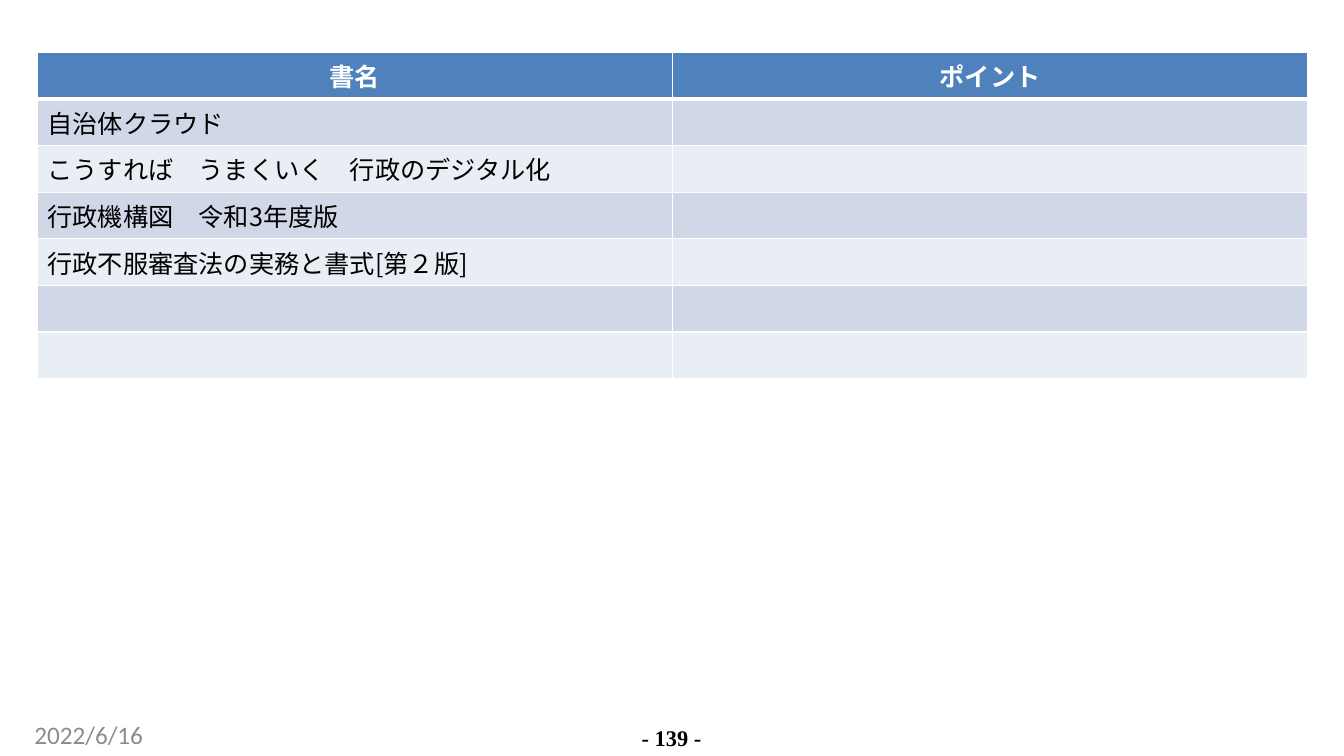
from lxml import etree
from pptx import Presentation
from pptx import util as u
from pptx.dml.color import RGBColor
from pptx.enum import text
from pptx.oxml import ns

WIDTH, HEIGHT = 13.33, 7.5
BOOKS = [
    "自治体クラウド",
    "こうすれば　うまくいく　行政のデジタル化",
    "行政機構図　令和3年度版",
    "行政不服審査法の実務と書式[第２版]",
    "",
    "",
]


def color(value):
    return RGBColor.from_string(value)


class ReferenceSlide:
    """Holds the style and the current slide, with lengths as shares of its size."""

    east_asian = "Noto Sans CJK JP"
    header, bands, border = "4F81BD", ("D0D8E8", "E9EDF4"), "FFFFFF"

    def __init__(self, presentation):
        self.width, self.height = presentation.slide_width, presentation.slide_height
        self.slide = presentation.slides.add_slide(presentation.slide_layouts[6])

    def place(self, left, top, width, height):
        return (int(left * self.width), int(top * self.height),
                int(width * self.width), int(height * self.height))

    def style(self, paragraph, name, size, tint, bold=False, centered=False):
        paragraph.alignment = text.PP_ALIGN.CENTER if centered else text.PP_ALIGN.LEFT
        font = paragraph.font
        font.name, font.size, font.bold = name, u.Pt(size), bold
        font.color.rgb = color(tint)
        latin = paragraph._p.pPr.find(ns.qn("a:defRPr")).find(ns.qn("a:latin"))
        latin.addnext(latin.makeelement(ns.qn("a:ea"), {"typeface": self.east_asian}))

    def label(self, words, box, line_height=None, **style):
        frame = self.slide.shapes.add_textbox(*self.place(*box)).text_frame
        frame.word_wrap = True
        frame.margin_left = frame.margin_right = frame.margin_top = frame.margin_bottom = 0
        paragraph = frame.paragraphs[0]
        paragraph.text = words
        if line_height:
            paragraph.line_spacing = u.Pt(line_height)
        self.style(paragraph, **style)

    def borders(self, cell, bottom):
        properties = cell._tc.get_or_add_tcPr()
        for side, points in (("L", 1), ("R", 1), ("T", 1), ("B", bottom)):
            line = etree.SubElement(properties, ns.qn(f"a:ln{side}"), w=str(u.Pt(points)))
            fill = etree.SubElement(line, ns.qn("a:solidFill"))
            etree.SubElement(fill, ns.qn("a:srgbClr"), val=self.border)

    def table(self, rows, box):
        frame = self.slide.shapes.add_table(len(rows), len(rows[0]), *self.place(*box))
        for index, row in enumerate(rows):
            is_header = index == 0
            for column, words in enumerate(row):
                cell = frame.table.cell(index, column)
                self.borders(cell, 3 if is_header else 1)
                cell.fill.solid()
                cell.fill.fore_color.rgb = color(
                    self.header if is_header else self.bands[(index - 1) % 2])
                paragraph = cell.text_frame.paragraphs[0]
                paragraph.text = words
                self.style(paragraph, "Calibri" if is_header else self.east_asian, 18,
                           "FFFFFF" if is_header else "000000", is_header, is_header)


def main():
    presentation = Presentation()
    presentation.slide_width, presentation.slide_height = u.Inches(WIDTH), u.Inches(HEIGHT)
    page = ReferenceSlide(presentation)
    page.table([("書名", "ポイント")] + [(book, "") for book in BOOKS],
               (0.37 / WIDTH, 0.52 / HEIGHT, 12.6 / WIDTH, 2.84 / HEIGHT))
    page.label("2022/6/16", (0.34 / WIDTH, 7.14 / HEIGHT, 3.07 / WIDTH, 0.3 / HEIGHT),
               name="Calibri", size=18, tint="8C8C8C")
    page.label("- 139 -", (6.23 / WIDTH, 7.19 / HEIGHT, 0.86 / WIDTH, 0.25 / HEIGHT),
               line_height=18.4, name="Times New Roman", size=16, tint="000000",
               bold=True, centered=True)
    presentation.save("out.pptx")


if __name__ == "__main__":
    main()
